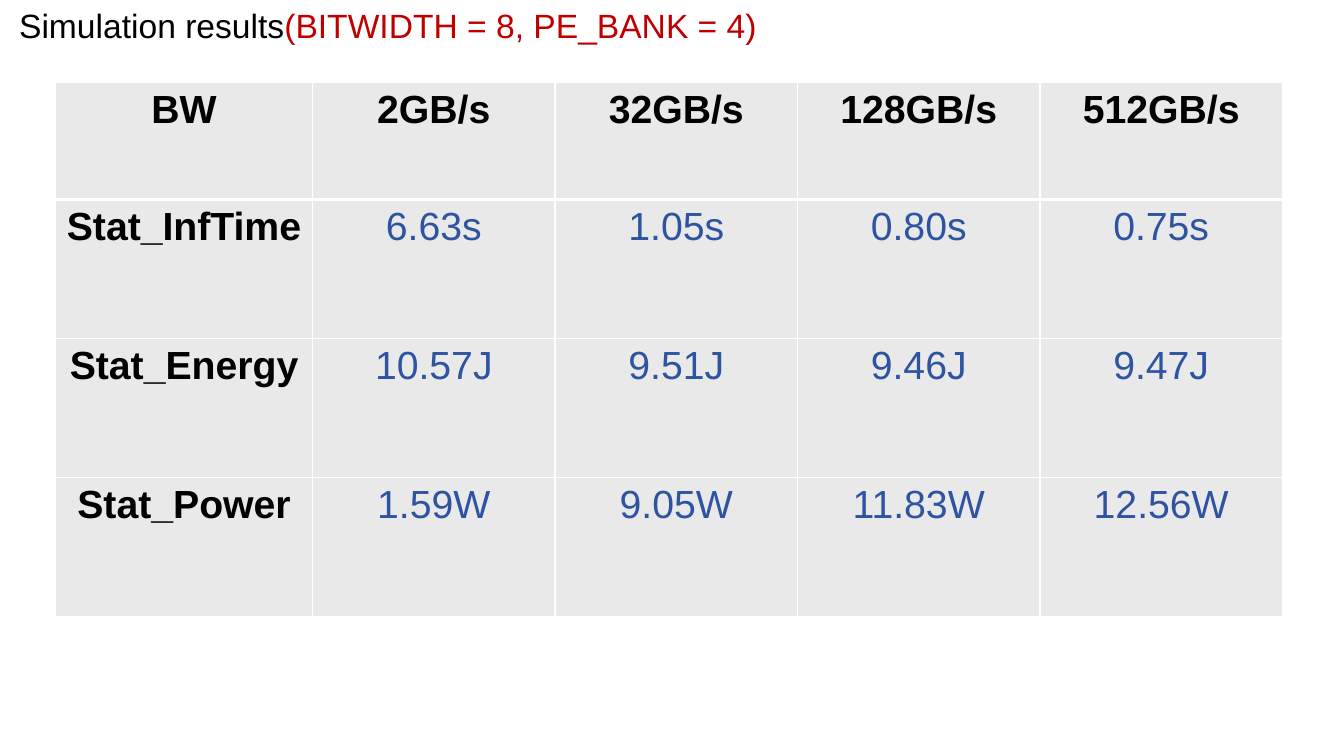
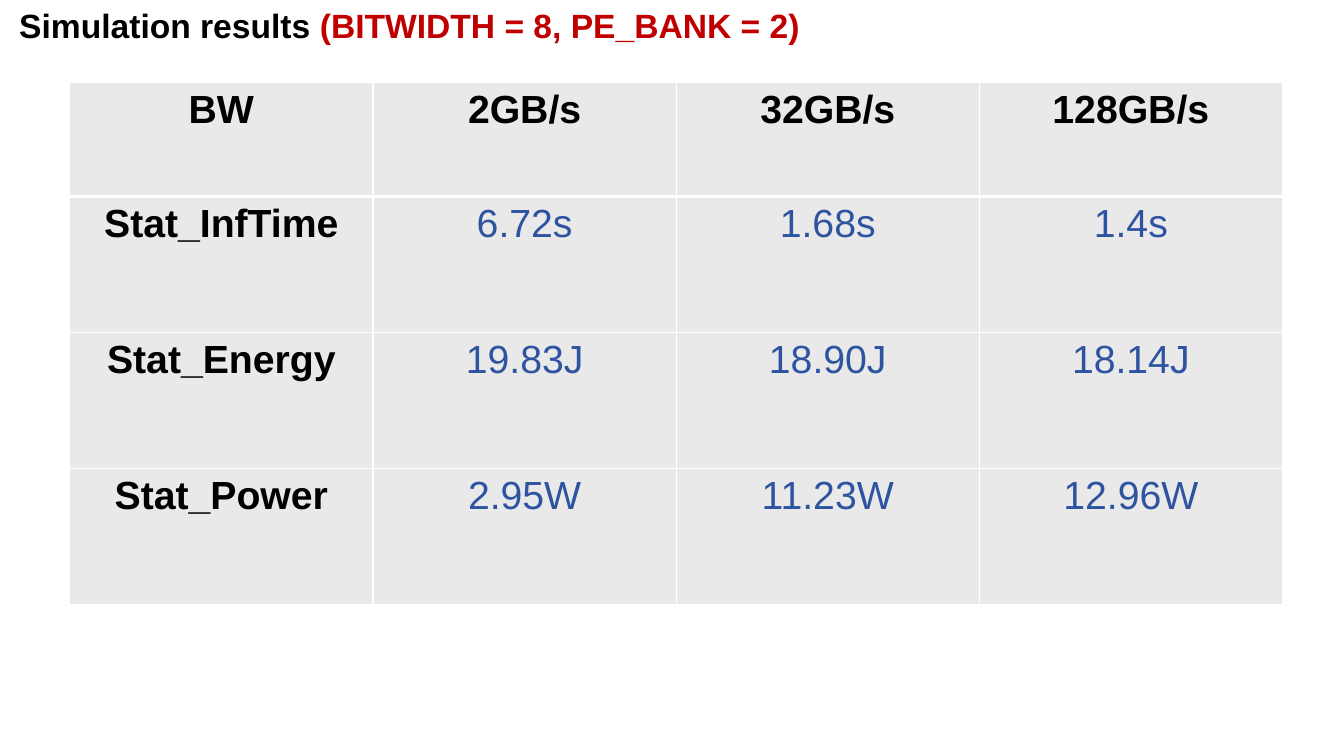
"""Build two slides of simulation results, each a title above a table."""
import dataclasses

import lxml.etree
import pptx
import pptx.dml.color
import pptx.enum.text
import pptx.oxml.ns
import pptx.util

Inches = pptx.util.Inches
qn = pptx.oxml.ns.qn


@dataclasses.dataclass(frozen=True)
class Theme:
    font: str = "Arial"
    text: str = "000000"
    accent: str = "C00000"
    value: str = "2E54A1"
    cell: str = "D9D9D9"
    cell_alpha: int = 57
    border: str = "FFFFFF"
    title_size: int = 24
    table_size: int = 28
    thin: int = 1
    thick: int = 3


theme = Theme()


def add_run(p, text, size, color, bold):
    r = p.add_run()
    r.text = text
    r.font.name = theme.font
    r.font.size = pptx.util.Pt(size)
    r.font.bold = bold
    r.font.color.rgb = pptx.dml.color.RGBColor.from_string(color)


def style_cell(cell, widths):
    cell.fill.solid()
    cell.fill.fore_color.rgb = pptx.dml.color.RGBColor.from_string(theme.cell)
    tc_pr = cell._tc.get_or_add_tcPr()
    color = tc_pr.find(qn("a:solidFill")).find(qn("a:srgbClr"))
    lxml.etree.SubElement(color, qn("a:alpha"), val=str(theme.cell_alpha * 1000))
    for i, (side, width) in enumerate(widths.items()):
        ln = lxml.etree.Element(qn(f"a:ln{side}"), w=str(pptx.util.Pt(width)))
        fill = lxml.etree.SubElement(ln, qn("a:solidFill"))
        lxml.etree.SubElement(fill, qn("a:srgbClr"), val=theme.border)
        tc_pr.insert(i, ln)


slides = [
    {
        "title": ("Simulation results", "(BITWIDTH = 8, PE_BANK = 4)"),
        "title_bold": False,
        "title_width": 11.5,
        "left": 0.55,
        "first_col": 2.55,
        "header_height": 1.16,
        "row_height": 1.38,
        "rows": [
            ("BW", "2GB/s", "32GB/s", "128GB/s", "512GB/s"),
            ("Stat_InfTime", "6.63s", "1.05s", "0.80s", "0.75s"),
            ("Stat_Energy", "10.57J", "9.51J", "9.46J", "9.47J"),
            ("Stat_Power", "1.59W", "9.05W", "11.83W", "12.56W"),
        ],
    },
    {
        "title": ("Simulation results ", "(BITWIDTH = 8, PE_BANK = 2)"),
        "title_bold": True,
        "title_width": 10.05,
        "left": 0.69,
        "first_col": 3.01,
        "header_height": 1.13,
        "row_height": 1.35,
        "rows": [
            ("BW", "2GB/s", "32GB/s", "128GB/s"),
            ("Stat_InfTime", "6.72s", "1.68s", "1.4s"),
            ("Stat_Energy", "19.83J", "18.90J", "18.14J"),
            ("Stat_Power", "2.95W", "11.23W", "12.96W"),
        ],
    },
]
table_top = 0.82
table_right = 12.72

prs = pptx.Presentation()
prs.slide_width = Inches(13.33)
prs.slide_height = Inches(7.5)

for data in slides:
    s = prs.slides.add_slide(prs.slide_layouts[6])

    sp = s.shapes.add_textbox(0, 0, Inches(data["title_width"]), Inches(0.91))
    tf = sp.text_frame
    tf.word_wrap = True
    tf.margin_left = Inches(0.19)
    for text, color in zip(data["title"], (theme.text, theme.accent)):
        add_run(tf.paragraphs[0], text, theme.title_size, color, data["title_bold"])

    rows = data["rows"]
    n_rows, n_cols = len(rows), len(rows[0])
    width = table_right - data["left"]
    height = data["header_height"] + (n_rows - 1) * data["row_height"]
    table = s.shapes.add_table(
        n_rows, n_cols, Inches(data["left"]), Inches(table_top), Inches(width), Inches(height)
    ).table
    table.horz_banding = False

    value_col = (width - data["first_col"]) / (n_cols - 1)
    for c, col in enumerate(table.columns):
        col.width = Inches(value_col if c else data["first_col"])

    for r, values in enumerate(rows):
        table.rows[r].height = Inches(data["row_height"] if r else data["header_height"])
        for c, text in enumerate(values):
            cell = table.cell(r, c)
            heading = r == 0 or c == 0
            style_cell(cell, {
                "L": theme.thin,
                "R": theme.thin,
                "T": theme.thick if r == 1 else theme.thin,
                "B": theme.thick if r == 0 else theme.thin,
            })
            p = cell.text_frame.paragraphs[0]
            p.alignment = pptx.enum.text.PP_ALIGN.CENTER
            add_run(p, text, theme.table_size, theme.text if heading else theme.value, heading)

prs.save("out.pptx")
